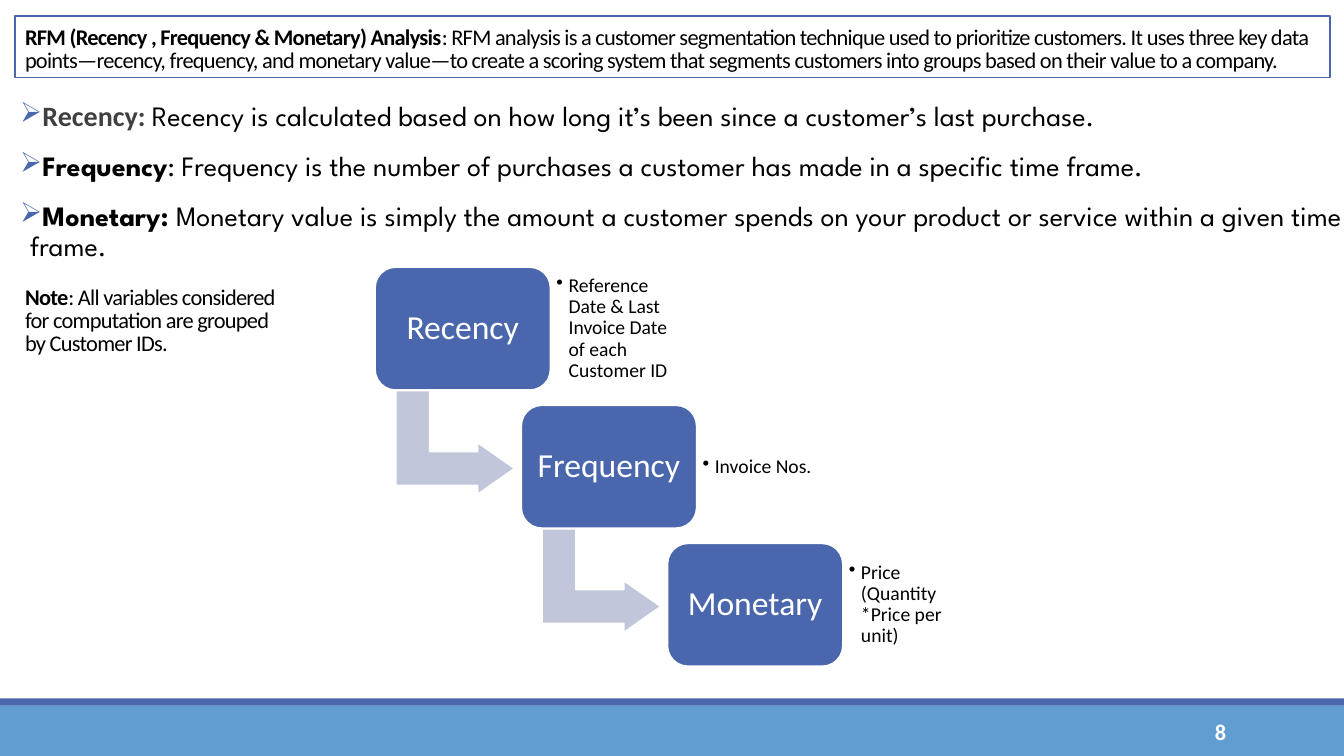
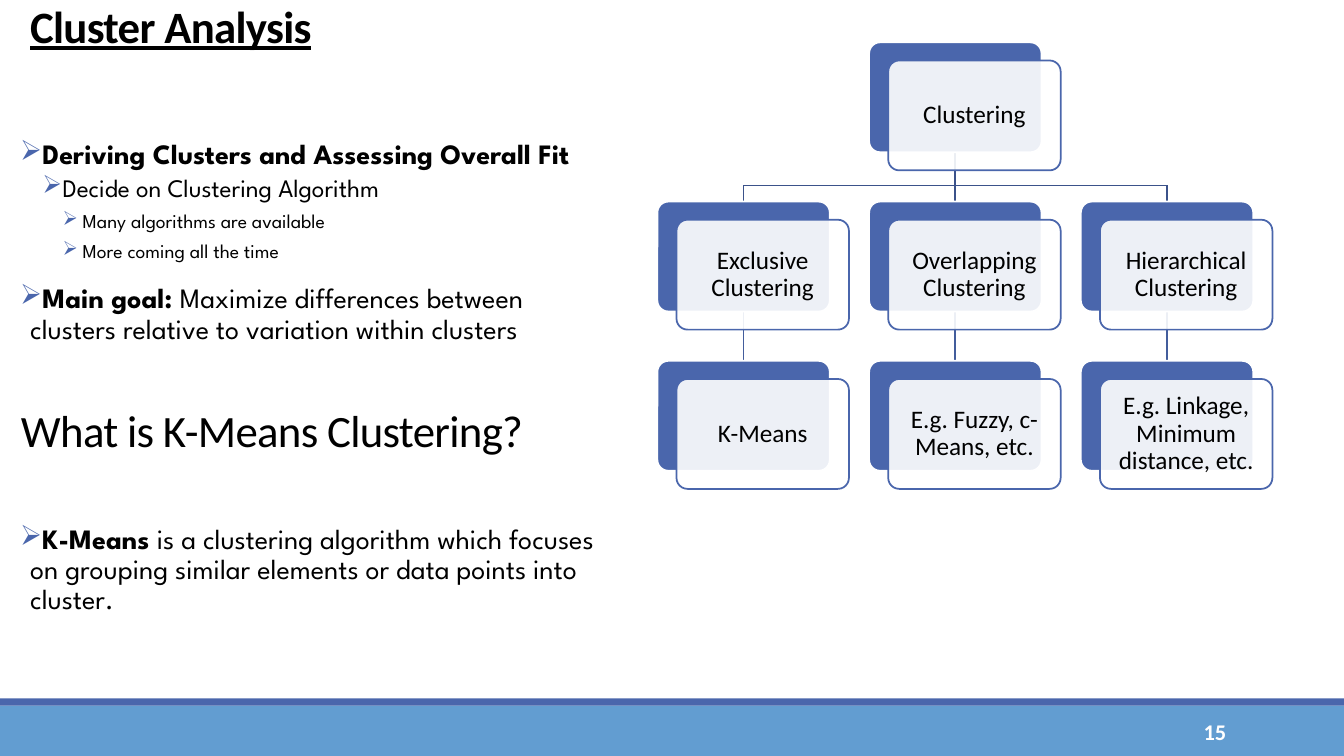
"""Build two slides on RFM and cluster analysis."""
from lxml.etree import SubElement
from pptx import Presentation
from pptx.dml.color import RGBColor
from pptx.enum.shapes import MSO_CONNECTOR, MSO_SHAPE
from pptx.enum.text import MSO_ANCHOR, PP_ALIGN
from pptx.oxml.ns import qn
from pptx.util import Inches, Pt

WIDE, HIGH = 13.33, 7.5
HEX = dict(blue="4A66AC", sky="629DD1", pale="C1C6DB", white="FFFFFF",
           black="000000", gray="404040", trunk="3B528A", stem="435D9C")

BASE = dict(size=16, name="Calibri", color="black")
TIGHT = dict(BASE, spc=-50)
HEAD = dict(TIGHT, size=32)
BODY = dict(BASE, name="League Spartan")
BOLD = dict(bold=True)
STEP = dict(BASE, size=24, color="white")
CARD = dict(BASE, size=18)
PAGE = dict(BASE, color="white", bold=True)

FLUSH = (0, 0.05)
ARROW = dict(char="➢", tint="blue")
LEVELS = [
    dict(ARROW, left=0.1, hang=0.1, before=12, after=2, size=20),
    dict(ARROW, left=0.42, hang=0.2, before=2, after=4, size=18),
    dict(ARROW, left=0.62, hang=0.2, before=2, after=4, size=14),
]
DOT = dict(char="•", tint="black", left=0.12, hang=0.12,
           before=0, after=0, size=14)

RFM = [
    ("RFM (Recency , Frequency & Monetary) Analysis", BOLD),
    (": RFM analysis is a customer segmentation technique used to prioritize "
     "customers. It uses three key data points—recency, frequency, and "
     "monetary value—to create a scoring system that segments customers into "
     "groups based on their value to a company.", {}),
]
TERMS = [
    (0, [("Recency: ", dict(bold=True, name="Calibri", color="gray")),
         ("Recency is calculated based on how long it’s been since a "
          "customer’s last purchase.", {})]),
    (0, [("Frequency", BOLD),
         (": Frequency is the number of purchases a customer has made in a "
          "specific time frame.", {})]),
    (0, [("Monetary: ", BOLD),
         ("Monetary value is simply the amount a customer spends on your "
          "product or service within a given time frame.", {})]),
]
NOTE = [
    ("Note", BOLD),
    (": All variables considered for computation are grouped by "
     "Customer IDs.", {}),
]
STEPS = [
    ("Recency", "Reference Date & Last Invoice Date of each Customer ID"),
    ("Frequency", "Invoice Nos."),
    ("Monetary", "Price (Quantity *Price per unit)"),
]
FIT = [
    (0, [("Deriving Clusters and Assessing Overall Fit", BOLD)]),
    (1, [("Decide on Clustering Algorithm", {})]),
    (2, [("Many algorithms are available", {})]),
    (2, [("More coming all the time", {})]),
    (0, [("Main goal: ", BOLD),
         ("Maximize differences between clusters relative to variation "
          "within clusters", {})]),
]
MEANS = [
    (0, [("K-Means ", BOLD),
         ("is a clustering algorithm which focuses on grouping similar "
          "elements or data points into cluster.", {})]),
]
TREE = [
    ("Clustering", 1, 0),
    ("Exclusive Clustering", 0, 1),
    ("K-Means", 0, 2),
    ("Overlapping Clustering", 1, 1),
    ("E.g. Fuzzy, c-Means, etc.", 1, 2),
    ("Hierarchical Clustering", 2, 1),
    ("E.g. Linkage, Minimum distance, etc.", 2, 2),
]


def rgb(key):
    """Look up a colour."""
    return RGBColor.from_string(HEX[key])


def write(para, runs, style, space=0.9, align=PP_ALIGN.LEFT):
    """Add styled runs to a paragraph."""
    para.line_spacing, para.alignment = space, align
    for text, extra in runs:
        run = para.add_run()
        run.text = text
        for key, val in {**style, **extra}.items():
            if key == "color":
                run.font.color.rgb = rgb(val)
            elif key == "spc":
                run.font._element.set("spc", str(val))
            else:
                setattr(run.font, key, Pt(val) if key == "size" else val)


def mark(para, form):
    """Give a paragraph its bullet and indent."""
    para.space_before, para.space_after = Pt(form["before"]), Pt(form["after"])
    props = para._p.get_or_add_pPr()
    props.set("marL", str(Inches(form["left"])))
    props.set("indent", str(-Inches(form["hang"])))
    tint = SubElement(props, qn("a:buClr"))
    SubElement(tint, qn("a:srgbClr"), val=HEX[form["tint"]])
    SubElement(props, qn("a:buChar"), char=form["char"])


def frame(shape, pad=(0.1, 0.05), anchor=MSO_ANCHOR.TOP):
    """Set up the text frame of a shape."""
    body = shape.text_frame
    form = dict(word_wrap=True, vertical_anchor=anchor)
    for side, gap in zip(("left", "top", "right", "bottom"), pad * 2):
        form["margin_" + side] = Inches(gap)
    for key, val in form.items():
        setattr(body, key, val)
    return body


def text(slide, box, **form):
    """Add a text box and return its frame."""
    return frame(slide.shapes.add_textbox(*map(Inches, box)), **form)


def block(slide, kind, box, fill, line=None, adj=()):
    """Add a filled preset shape."""
    shape = slide.shapes.add_shape(kind, *map(Inches, box))
    shape.shadow.inherit = False
    shape.fill.solid()
    shape.fill.fore_color.rgb = rgb(fill)
    if line:
        shape.line.color.rgb, shape.line.width = rgb(line), Pt(1.25)
    else:
        shape.line.fill.background()
    for spot, val in enumerate(adj):
        shape.adjustments[spot] = val
    return shape


def link(slide, ends, color):
    """Draw a straight line."""
    line = slide.shapes.add_connector(MSO_CONNECTOR.STRAIGHT, *map(Inches, ends))
    line.line.color.rgb, line.line.width = rgb(color), Pt(1.25)
    SubElement(line._element.spPr, qn("a:effectLst"))


def points(slide, box, items):
    """Add a bulleted list."""
    body = text(slide, box, pad=FLUSH)
    for spot, (level, runs) in enumerate(items):
        para = body.add_paragraph() if spot else body.paragraphs[0]
        para.level = level
        write(para, runs, dict(BODY, size=LEVELS[level]["size"]))
        mark(para, LEVELS[level])


def start(deck, page):
    """Add a slide with the shared bands and page number."""
    slide = deck.slides.add_slide(deck.slide_layouts[6])
    for top, tall, color in ((7, 0.5, "sky"), (6.93, 0.07, "blue")):
        block(slide, MSO_SHAPE.RECTANGLE, (0, top, WIDE, tall), color)
    body = text(slide, (10.83, 7.06, 1.43, 0.4), anchor=MSO_ANCHOR.MIDDLE)
    write(body.paragraphs[0], [(page, {})], PAGE, 1, PP_ALIGN.RIGHT)
    return slide


def steps(slide):
    """Draw the descending steps."""
    wide, tall = 1.74, 1.22
    for spot, (name, note) in enumerate(STEPS):
        left, top = 3.72 + 1.45 * spot, 2.65 + 1.37 * spot
        if spot < len(STEPS) - 1:
            bend = block(slide, MSO_SHAPE.BENT_UP_ARROW,
                         (left + 0.28, top + 1.15, 1.03, 1.18),
                         "pale", "white", (0.328, 0.25, 0.358))
            bend.rotation = 90
        box = block(slide, MSO_SHAPE.ROUNDED_RECTANGLE, (left, top, wide, tall),
                    "blue", "white", (0.167,))
        body = frame(box, (0.1, 0.1), MSO_ANCHOR.MIDDLE)
        write(body.paragraphs[0], [(name, {})], STEP, align=PP_ALIGN.CENTER)
        body = text(slide, (left + wide, top + 0.12, 1.26, 0.98),
                    pad=(0.06, 0.06), anchor=MSO_ANCHOR.MIDDLE)
        write(body.paragraphs[0], [(note, {})], dict(BASE, size=DOT["size"]))
        mark(body.paragraphs[0], DOT)


def tree(slide):
    """Draw the tree of clustering kinds."""
    wide, tall = 1.71, 1.09
    cols = [6.52 + 2.1 * col for col in range(3)]
    rows = [0.42 + 1.58 * row for row in range(3)]
    mids = [left + wide / 2 for left in cols]
    bar = rows[1] - 0.16
    link(slide, (mids[1], rows[0] + tall, mids[1], bar), "trunk")
    link(slide, (mids[0], bar, mids[2], bar), "trunk")
    for mid in mids:
        link(slide, (mid, bar, mid, rows[1]), "trunk")
        link(slide, (mid, rows[1] + tall, mid, rows[2]), "stem")
    for name, col, row in TREE:
        left, top = cols[col], rows[row]
        block(slide, MSO_SHAPE.ROUNDED_RECTANGLE, (left, top, wide, tall),
              "blue", "white", (0.1,))
        card = block(slide, MSO_SHAPE.ROUNDED_RECTANGLE,
                     (left + 0.19, top + 0.18, wide, tall),
                     "white", "blue", (0.1,))
        tone = card._element.spPr.find(qn("a:solidFill"))[0]
        SubElement(tone, qn("a:alpha"), val="90000")
        body = frame(card, (0.07, 0.07), MSO_ANCHOR.MIDDLE)
        write(body.paragraphs[0], [(name, {})], CARD, align=PP_ALIGN.CENTER)


def main():
    """Build and save the deck."""
    deck = Presentation()
    deck.slide_width, deck.slide_height = Inches(WIDE), Inches(HIGH)

    slide = start(deck, "8")
    box = block(slide, MSO_SHAPE.RECTANGLE, (0.15, 0.16, 13.04, 0.61),
                "white", "blue")
    body = frame(box, anchor=MSO_ANCHOR.BOTTOM)
    write(body.paragraphs[0], RFM, TIGHT, 0.85)
    points(slide, (0.2, 0.97, 13.13, 3.32), TERMS)
    steps(slide)
    body = text(slide, (0.15, 2.97, 2.82, 0.61), anchor=MSO_ANCHOR.BOTTOM)
    write(body.paragraphs[0], NOTE, TIGHT, 0.85)

    slide = start(deck, "15")
    body = text(slide, (0.2, 0, 11.52, 0.66))
    write(body.paragraphs[0],
          [("Cluster Analysis", dict(bold=True, underline=True))], HEAD)
    points(slide, (0.2, 1.34, 5.89, 2.19), FIT)
    tree(slide)
    body = text(slide, (0.11, 4.01, 5.31, 0.66))
    write(body.paragraphs[0], [("What is K-Means Clustering?", {})], HEAD)
    points(slide, (0.2, 5.16, 5.89, 1.24), MEANS)

    deck.save("out.pptx")


if __name__ == "__main__":
    main()
